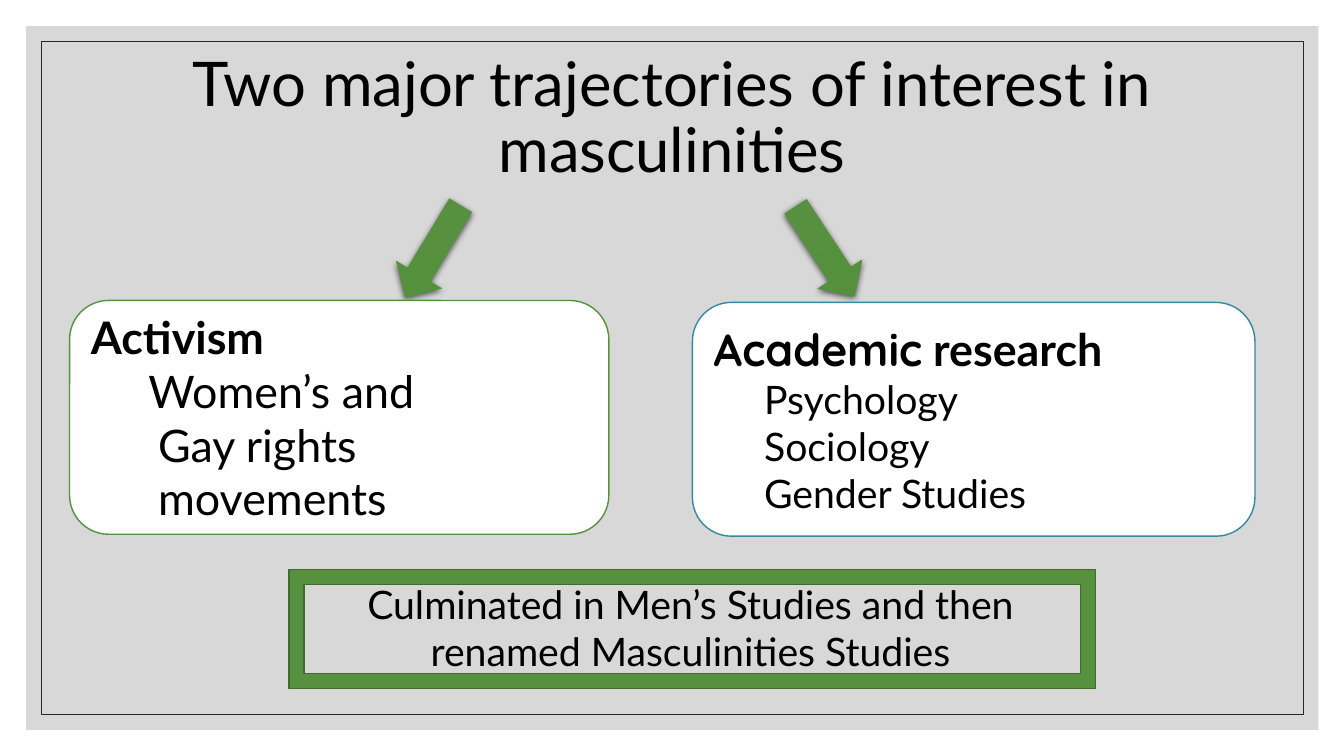
from dataclasses import dataclass

from lxml import etree
from pptx import Presentation
from pptx.dml.color import RGBColor
from pptx.enum import shapes, text
from pptx.oxml import ns
from pptx.util import Pt

COLORS = {
    "panel": "BFBFBF", "border": "262626", "black": "000000", "white": "FFFFFF",
    "green": "57903F", "green_end": "55913C", "dark_green": "406B2F", "teal": "3488A0",
}
SHAPE = shapes.MSO_SHAPE


@dataclass
class Run:
    words: str
    size: float = 28
    bold: bool = False
    font: str = "Lato"


@dataclass
class Line:
    runs: list[Run]
    indent: float = 0


@dataclass
class Topic:
    left: float
    top: float
    width: float
    outline: str
    lines: list[Line]


@dataclass
class Arrow:
    left: float
    rotation: float


def rgb(name: str) -> RGBColor:
    return RGBColor.from_string(COLORS[name])


def add_sub(parent, tag: str, **attributes: str):
    return etree.SubElement(parent, ns.qn(f"a:{tag}"), attributes)


def add_box(slide, kind, left: float, top: float, width: float, height: float,
            fill: str | None = None, outline: str | None = None, weight: float = 1):
    box = slide.shapes.add_shape(kind, Pt(left), Pt(top), Pt(width), Pt(height))
    box.shadow.inherit = False
    if fill:
        box.fill.solid()
        box.fill.fore_color.rgb = rgb(fill)
    else:
        box.fill.background()
    if outline:
        box.line.color.rgb = rgb(outline)
        box.line.width = Pt(weight)
    else:
        box.line.fill.background()
    return box


def write_lines(frame, lines: list[Line], align, spacing: float = 1) -> None:
    frame.word_wrap = True
    for number, line in enumerate(lines):
        paragraph = frame.add_paragraph() if number else frame.paragraphs[0]
        paragraph.alignment = align
        paragraph.line_spacing = spacing
        if line.indent:
            paragraph._p.get_or_add_pPr().set("marL", str(Pt(line.indent)))
        for part in line.runs:
            run = paragraph.add_run()
            run.text = part.words
            run.font.name = part.font
            run.font.size = Pt(part.size)
            run.font.bold = part.bold
            run.font.color.rgb = rgb("black")


def add_centered_text(slide, left: float, top: float, width: float, height: float,
                      run: Run, spacing: float = 1):
    box = slide.shapes.add_textbox(Pt(left), Pt(top), Pt(width), Pt(height))
    write_lines(box.text_frame, [Line([run])], text.PP_ALIGN.CENTER, spacing)
    return box.text_frame


def add_arrow(slide, arrow: Arrow) -> None:
    shape = add_box(slide, SHAPE.DOWN_ARROW, arrow.left, 141.1, 38.2, 77)
    shape.rotation = arrow.rotation
    shape.fill.gradient()
    shape.fill.gradient_angle = 270
    for stop, color in zip(shape.fill.gradient_stops, ("green", "green_end")):
        stop.color.rgb = rgb(color)
    effects = shape._element.spPr.find(ns.qn("a:effectLst"))
    shadow = add_sub(effects, "outerShdw", blurRad=str(Pt(4.5)), dist=str(Pt(1.5)),
                     dir="5400000", algn="ctr", rotWithShape="0")
    add_sub(add_sub(shadow, "srgbClr", val=COLORS["black"]), "alpha", val="63000")


def add_topic(slide, topic: Topic) -> None:
    box = add_box(slide, SHAPE.FLOWCHART_ALTERNATE_PROCESS, topic.left, topic.top,
                  topic.width, 167, "white", topic.outline)
    box.text_frame.vertical_anchor = text.MSO_ANCHOR.MIDDLE
    write_lines(box.text_frame, topic.lines, text.PP_ALIGN.LEFT)


ARROWS = [Arrow(290.2, 31), Arrow(570.2, 326.8)]
TOPICS = [
    Topic(49.7, 214.6, 385.2, "green", [
        Line([Run("Activism", 32, True)]),
        Line([Run("Women’s and", 32)], 41),
        Line([Run("Gay rights", 32)], 48),
        Line([Run("movements", 32)], 48),
    ]),
    Topic(494.6, 216, 401.8, "teal", [
        Line([Run("Academic", 32, True, "Quicksand"), Run(" ", 28, False, "Quicksand"),
              Run("research", 32, True)]),
        *(Line([Run(field)], 36) for field in ("Psychology", "Sociology", "Gender Studies")),
    ]),
]


def main() -> None:
    deck = Presentation()
    deck.slide_width, deck.slide_height = Pt(960), Pt(540)
    slide = deck.slides.add_slide(deck.slide_layouts[6])

    # Background panel and thin border
    panel = add_box(slide, SHAPE.RECTANGLE, 18.7, 18.7, 923, 502.6, "panel")
    panel_color = panel._element.spPr.find(ns.qn("a:solidFill"))[0]
    add_sub(panel_color, "alpha", val="60000")
    add_box(slide, SHAPE.RECTANGLE, 29.5, 29.5, 901.4, 481, outline="border", weight=0.5)

    # Title
    title = add_centered_text(slide, 84.2, 30.2, 792, 110.2,
                              Run("Two major trajectories of interest in masculinities", 44), 0.9)
    title.vertical_anchor = text.MSO_ANCHOR.MIDDLE

    # Two trajectories
    for arrow in ARROWS:
        add_arrow(slide, arrow)
    for topic in TOPICS:
        add_topic(slide, topic)

    # Outcome
    add_box(slide, SHAPE.FRAME, 206.6, 406.8, 576, 85, "green", "dark_green")
    outcome = add_centered_text(
        slide, 233.3, 411.1, 519.8, 74.9,
        Run("Culminated in Men’s Studies and then renamed Masculinities Studies"))
    outcome.auto_size = text.MSO_AUTO_SIZE.SHAPE_TO_FIT_TEXT

    deck.save("out.pptx")


if __name__ == "__main__":
    main()
